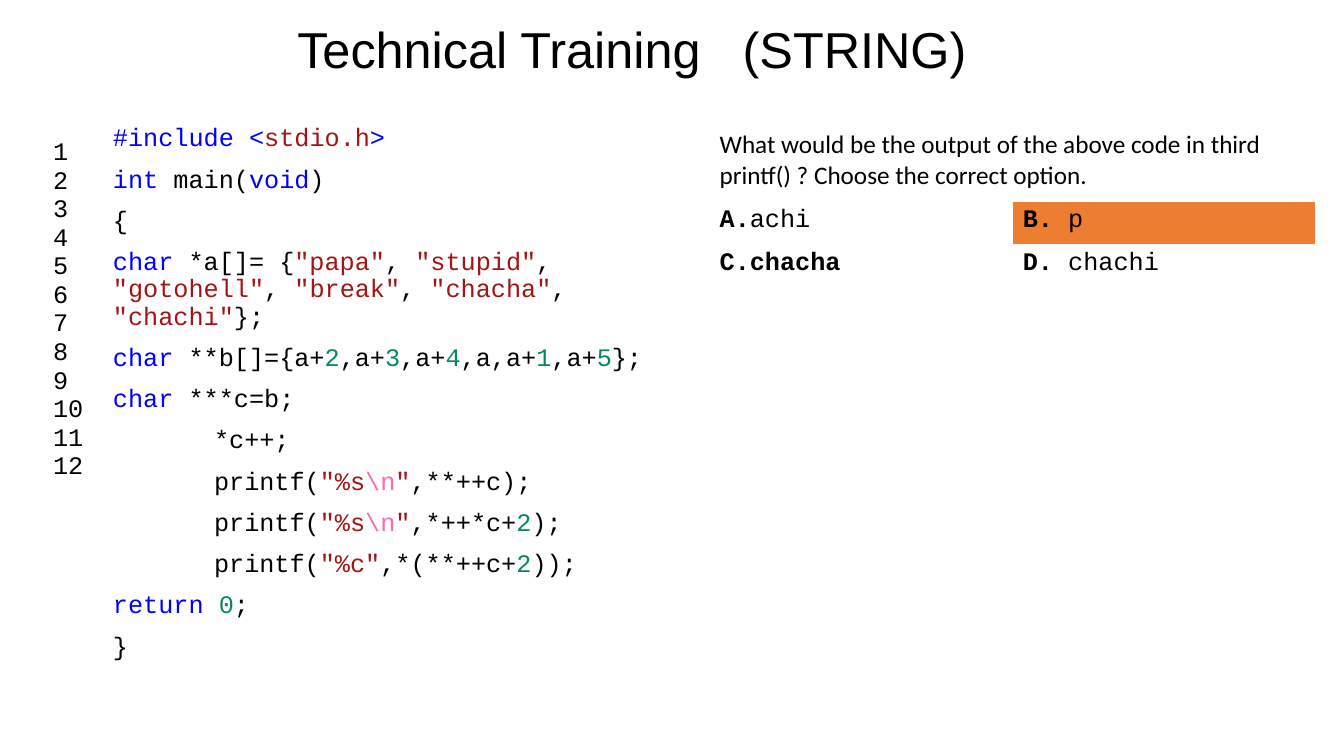
from pptx import Presentation
from pptx.dml.color import RGBColor
from pptx.enum.text import MSO_ANCHOR, PP_ALIGN
from pptx.util import Pt

PX = 9080  # EMU in one px
BLACK, BLUE, RED = "000000", "0000FF", "A31515"
GREEN, PINK, ORANGE = "09885A", "FF69B4", "ED7D31"
MONO = "Courier New"


def color(value):
    return RGBColor.from_string(value)


def add_span(para, text, ink=BLACK, font=MONO, size=18, bold=False):
    span = para.add_run()
    span.text = text
    span.font.name = font
    span.font.size = Pt(size)
    span.font.bold = bold
    span.font.color.rgb = color(ink)
    return span


deck = Presentation()
deck.slide_width, deck.slide_height = 1343 * PX, 755 * PX
page = deck.slides.add_slide(deck.slide_layouts[6])

# Tables: line numbers, then question with options
tables = []
for left, top, widths, heights in [
    (43, 124, [59], [373]),
    (709, 124, [303, 303], [77, 43, 43]),
]:
    table = page.shapes.add_table(
        len(heights), len(widths), left * PX, top * PX,
        sum(widths) * PX, sum(heights) * PX).table
    table.first_row = table.horz_banding = False
    for column, width in zip(table.columns, widths):
        column.width = width * PX
    for row, height in zip(table.rows, heights):
        row.height = height * PX
    for cell in table.iter_cells():
        cell.fill.background()
    tables.append(table)
numbers, quiz = tables

# Line numbers
cell = numbers.cell(0, 0)
cell.vertical_anchor = MSO_ANCHOR.MIDDLE
for number in range(1, 13):
    frame = cell.text_frame
    para = frame.paragraphs[0] if number == 1 else frame.add_paragraph()
    add_span(para, str(number))

# Question and options
question = quiz.cell(0, 0)
question.merge(quiz.cell(0, 1))
add_span(question.text_frame.paragraphs[0],
         "What would be the output of the above code in third printf() ? "
         "Choose the correct option.", font="Calibri")
options = [("A.", "achi"), ("B.", " p"), ("C.chacha", ""), ("D.", " chachi")]
for index, (label, answer) in enumerate(options):
    cell = quiz.cell(1 + index // 2, index % 2)
    para = cell.text_frame.paragraphs[0]
    add_span(para, label, bold=True)
    if answer:
        add_span(para, answer)
    if label == "B.":
        cell.fill.solid()
        cell.fill.fore_color.rgb = color(ORANGE)

# Code: indent in px, then coloured spans
code = [
    (0, [("#include <", BLUE), ("stdio.h", RED), (">", BLUE)]),
    (0, [("int", BLUE), (" main(", BLACK), ("void", BLUE), (")", BLACK)]),
    (0, [("{", BLACK)]),
    (0, [("char", BLUE), (" *a[]= {", BLACK), ('"papa"', RED), (", ", BLACK),
         ('"stupid"', RED), (", ", BLACK), ('"gotohell"', RED), (", ", BLACK),
         ('"break"', RED), (", ", BLACK), ('"chacha"', RED), (", ", BLACK),
         ('"chachi"', RED), ("};", BLACK)]),
    (0, [("char", BLUE), (" **b[]={a+", BLACK), ("2", GREEN), (",a+", BLACK),
         ("3", GREEN), (",a+", BLACK), ("4", GREEN), (",a,a+", BLACK),
         ("1", GREEN), (",a+", BLACK), ("5", GREEN), ("};", BLACK)]),
    (0, [("char", BLUE), (" ***c=b;", BLACK)]),
    (101, [("*c++;", BLACK)]),
    (101, [("printf(", BLACK), ('"%s', RED), ("\\n", PINK), ('"', RED),
           (",**++c);", BLACK)]),
    (101, [("printf(", BLACK), ('"%s', RED), ("\\n", PINK), ('"', RED),
           (",*++*c+", BLACK), ("2", GREEN), (");", BLACK)]),
    (101, [("printf(", BLACK), ('"%c"', RED), (",*(**++c+", BLACK),
           ("2", GREEN), ("));", BLACK)]),
    (0, [("return ", BLUE), ("0", GREEN), (";", BLACK)]),
    (0, [("}", BLACK)]),
]
box = page.shapes.add_textbox(103 * PX, 120 * PX, 568 * PX, 635 * PX)
frame = box.text_frame
frame.word_wrap = True
for index, (indent, spans) in enumerate(code):
    para = frame.add_paragraph() if index else frame.paragraphs[0]
    para.line_spacing = 0.9
    para.space_before = Pt(10 if index else 0)
    if indent:
        para._p.get_or_add_pPr().set("marL", str(indent * PX))
    for text, ink in spans:
        add_span(para, text, ink)

# Title, with one widened space before the topic
box = page.shapes.add_textbox(231 * PX, 13 * PX, 801 * PX, 70 * PX)
box.text_frame.word_wrap = True
para = box.text_frame.paragraphs[0]
para.alignment = PP_ALIGN.CENTER
add_span(para, "Technical Training", font="Arial", size=36)
gap = add_span(para, " ", font="Arial", size=36)
gap._r.get_or_add_rPr().set("spc", "2000")
add_span(para, "(STRING)", font="Arial", size=36)

deck.save("out.pptx")
